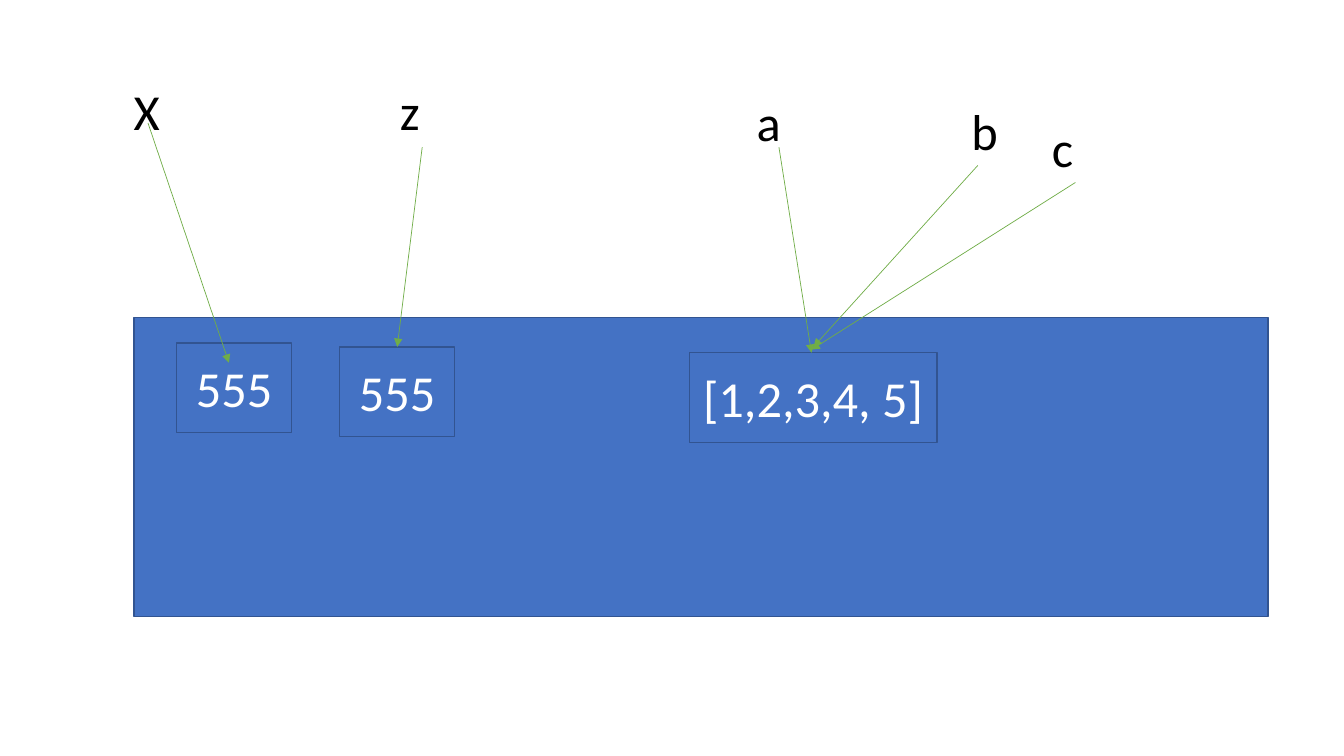
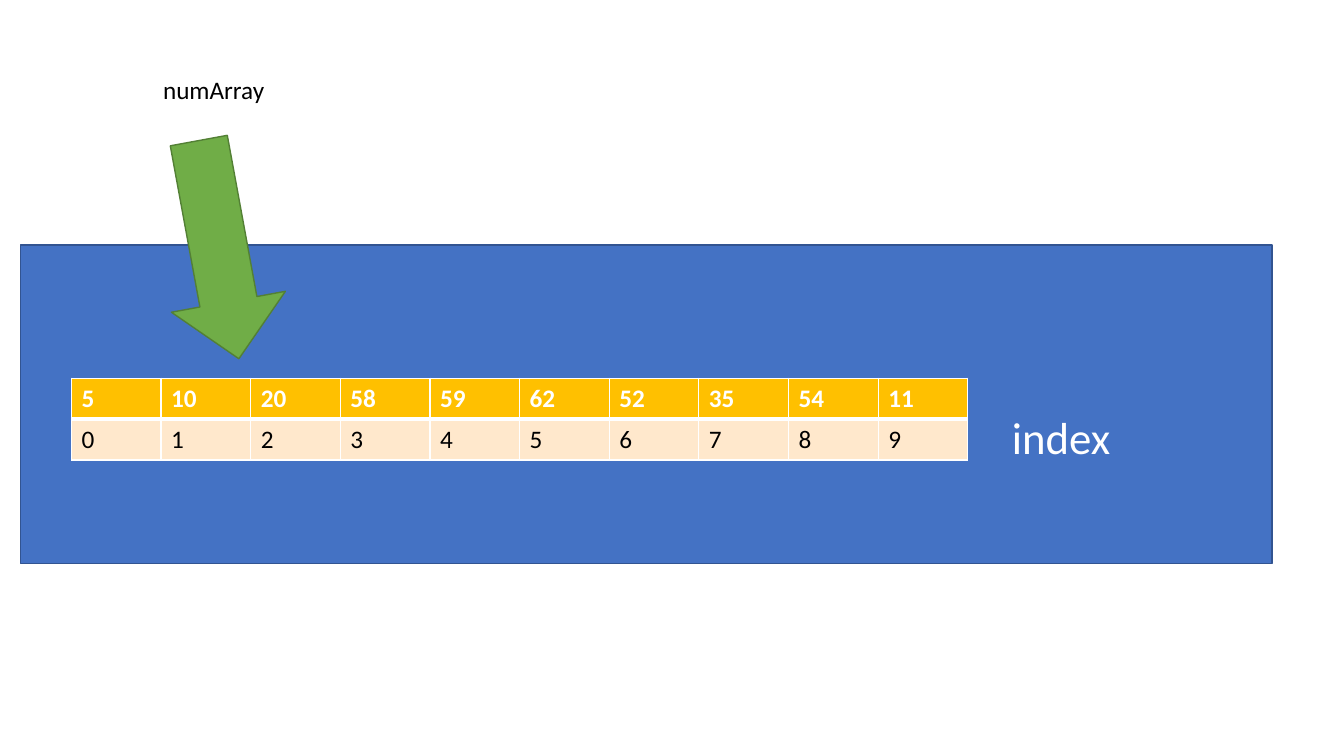
from lxml import etree
from pptx import Presentation
from pptx import util as u
from pptx.dml.color import RGBColor
from pptx.enum import shapes, text
from pptx.oxml import ns

Cm, Pt = u.Cm, u.Pt
FONT = "Calibri"
COLORS = {"memory": "4472C4", "memory_line": "325491", "arrow": "70AD47",
          "arrow_line": "538035", "header": "FFC000", "row": "FFE8CC",
          "dark": "000000", "light": "FFFFFF"}

# Slide 1: variables pointing at values (all lengths in cm)
VARIABLE_BAND = (3.38, 8, 28.58, 7.54)
VALUE_HEIGHT = 2.26
VALUES = [("555", 4.45, 8.64, 2.9), ("555", 8.56, 8.74, 2.9),
          ("[1,2,3,4, 5]", 17.37, 8.89, 6.25)]
LABEL_SIZE = (1.63, 1.8)
# name, label corner, arrow start, arrow end
VARIABLES = [
    ("X", (3.12, 1.9), (3.73, 3.1), (5.77, 9.14)),
    ("z", (9.83, 1.9), (10.64, 3.71), (10.01, 8.74)),
    ("a", (18.82, 2.18), (19.63, 3.71), (20.45, 8.89)),
    ("b", (24.23, 2.41), (24.64, 4.17), (20.5, 8.74)),
    ("c", (26.26, 2.82), (27.1, 4.6), (20.45, 8.81)),
]

# Slide 2: array and its indexes
ARRAY_BAND = (0.51, 6.17, 31.55, 8.03)
ARRAY = [5, 10, 20, 58, 59, 62, 52, 35, 54, 11]
TABLE_CORNER = (1.8, 9.53)
CELL_WIDTH, CELL_HEIGHT = 2.26, 1.03
BIG_ARROW = (2.72, 4.83, 5.59, 2.92)
BIG_ARROW_ROTATION = 259.6


def rgb(name):
    return RGBColor.from_string(COLORS[name])


def cm(lengths):
    return [Cm(length) for length in lengths]


def write(frame, content, size=36, color="dark", bold=False, align=None):
    paragraph = frame.paragraphs[0]
    paragraph.alignment = align
    run = paragraph.add_run()
    run.text = content
    run.font.name, run.font.size, run.font.bold = FONT, Pt(size), bold
    run.font.color.rgb = rgb(color)


def add_label(slide, content, box, **style):
    frame = slide.shapes.add_textbox(*cm(box)).text_frame
    frame.word_wrap = True
    frame.auto_size = text.MSO_AUTO_SIZE.SHAPE_TO_FIT_TEXT
    write(frame, content, **style)


def add_block(slide, box, kind=shapes.MSO_SHAPE.RECTANGLE, fill="memory"):
    shape = slide.shapes.add_shape(kind, *cm(box))
    shape.shadow.inherit = False
    shape.fill.solid()
    shape.fill.fore_color.rgb = rgb(fill)
    shape.line.color.rgb = rgb(fill + "_line")
    shape.line.width = Pt(1)
    return shape


def add_arrow(slide, start, end):
    connector = slide.shapes.add_connector(
        shapes.MSO_CONNECTOR.STRAIGHT, *cm(start + end))
    connector.line.color.rgb = rgb("arrow")
    connector.line.width = Pt(0.5)
    line = connector.line._get_or_add_ln()
    etree.SubElement(line, ns.qn("a:tailEnd"), type="triangle")
    etree.SubElement(connector._element.spPr, ns.qn("a:effectLst"))


def set_borders(cell, bottom):
    properties = cell._tc.get_or_add_tcPr()
    widths = {"lnL": 1, "lnR": 1, "lnT": 1, "lnB": bottom}
    for position, (side, width) in enumerate(widths.items()):
        border = etree.Element(ns.qn("a:" + side), w=str(Pt(width)))
        fill = etree.SubElement(border, ns.qn("a:solidFill"))
        etree.SubElement(fill, ns.qn("a:srgbClr"), val=COLORS["light"])
        properties.insert(position, border)


def add_array_table(slide):
    size = (CELL_WIDTH * len(ARRAY), CELL_HEIGHT * 2)
    table = slide.shapes.add_table(
        2, len(ARRAY), *cm(TABLE_CORNER + size)).table
    for column in table.columns:
        column.width = Cm(CELL_WIDTH)
    rows = [(ARRAY, "header", "light", True, 3),
            (range(len(ARRAY)), "row", "dark", False, 1)]
    for row, (numbers, fill, color, bold, bottom) in enumerate(rows):
        table.rows[row].height = Cm(CELL_HEIGHT)
        for column, number in enumerate(numbers):
            cell = table.cell(row, column)
            cell.fill.solid()
            cell.fill.fore_color.rgb = rgb(fill)
            set_borders(cell, bottom)
            write(cell.text_frame, str(number), size=18, color=color, bold=bold)


def build_variables(slide):
    add_block(slide, VARIABLE_BAND)
    for content, left, top, width in VALUES:
        frame = add_block(slide, (left, top, width, VALUE_HEIGHT)).text_frame
        frame.vertical_anchor = text.MSO_ANCHOR.MIDDLE
        frame.word_wrap = True
        write(frame, content, color="light", align=text.PP_ALIGN.CENTER)
    for name, corner, start, end in VARIABLES:
        add_label(slide, name, corner + LABEL_SIZE)
        add_arrow(slide, start, end)


def build_array(slide):
    add_block(slide, ARRAY_BAND)
    add_label(slide, "numArray", (3.86, 1.75, 3.15, 1.02), size=18)
    add_array_table(slide)
    arrow = add_block(slide, BIG_ARROW, shapes.MSO_SHAPE.LEFT_ARROW, "arrow")
    arrow.rotation = BIG_ARROW_ROTATION
    add_label(slide, "index", (25.25, 10.19, 4.45, 1.63), size=32, color="light")


def main():
    presentation = Presentation()
    presentation.slide_width, presentation.slide_height = cm((33.87, 19.05))
    blank = presentation.slide_layouts[6]
    for build in (build_variables, build_array):
        build(presentation.slides.add_slide(blank))
    presentation.save("out.pptx")


if __name__ == "__main__":
    main()
